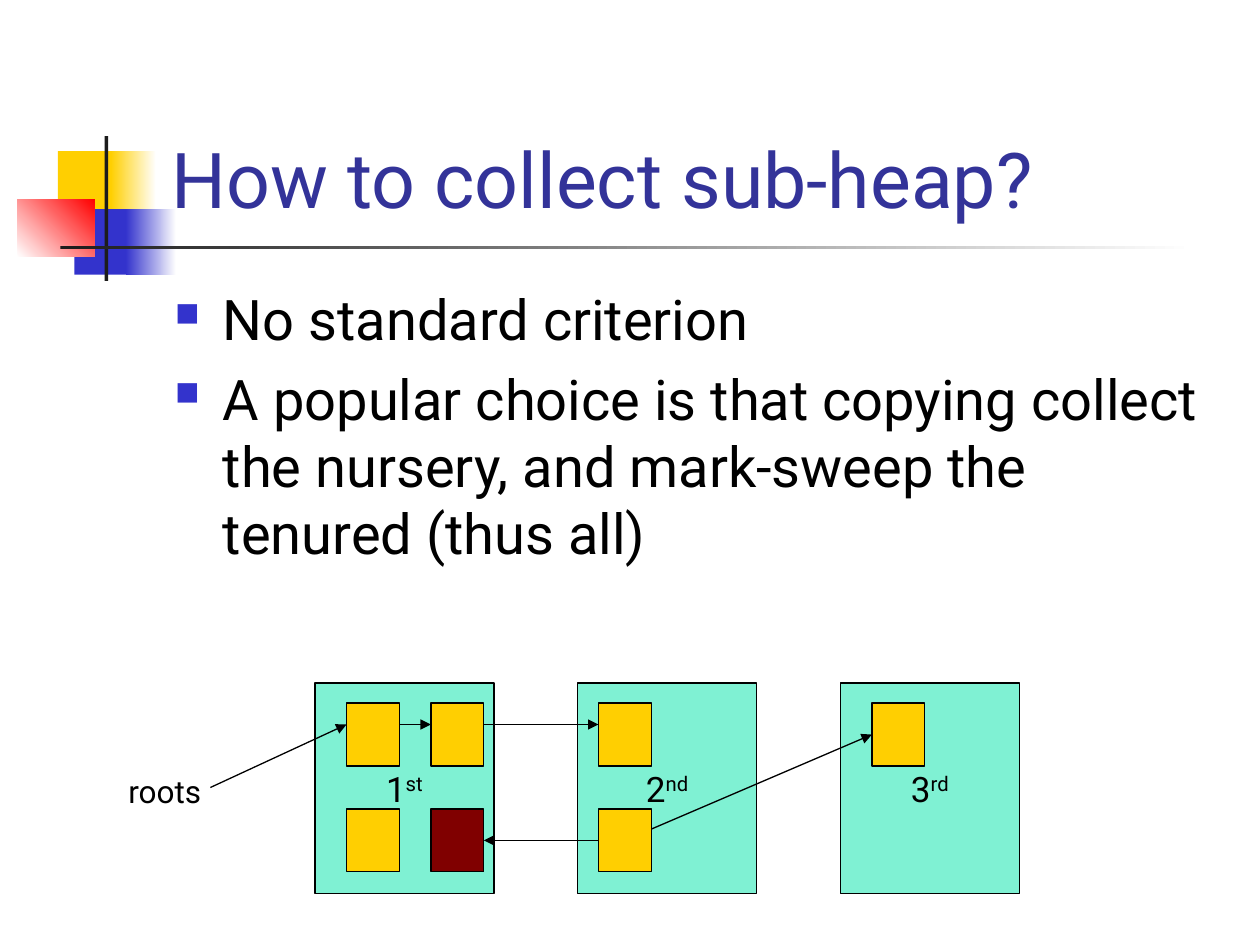
import pptx
import pptx.dml.color
import pptx.enum.shapes
import pptx.enum.text
import pptx.oxml
import pptx.oxml.ns
import pptx.util
from lxml import etree
from pptx.util import Inches

FONT = "Roboto"
YELLOW, BLUE, DARK, BLACK = "FFCF01", "3333CC", "1C1C1C", "000000"


def colour(hex_code):
    return pptx.dml.color.RGBColor.from_string(hex_code)


def add_rect(left, top, width, height, fill, line=None, angle=0):
    """Add a rectangle; a pair of colours as fill makes a linear gradient."""
    rect = slide.shapes.add_shape(
        pptx.enum.shapes.MSO_SHAPE.RECTANGLE,
        Inches(left), Inches(top), Inches(width), Inches(height))
    rect.shadow.inherit = False
    if isinstance(fill, tuple):
        rect.fill.gradient()
        rect.fill.gradient_angle = angle
        for stop, stop_colour in zip(rect.fill.gradient_stops, fill):
            stop.color.rgb = colour(stop_colour)
    else:
        rect.fill.solid()
        rect.fill.fore_color.rgb = colour(fill)
    if line:
        rect.line.color.rgb = colour(line)
        rect.line.width = pptx.util.Pt(0.75)
    else:
        rect.line.fill.background()
    return rect


prs = pptx.Presentation()
prs.slide_width, prs.slide_height = Inches(10), Inches(7.5)
slide = prs.slides.add_slide(prs.slide_layouts[5])

# Corner ornament and rule under the title
for left, top, width, height, fill, angle in [
    (0.46, 1.2, 0.48, 0.52, YELLOW, 0),
    (0.88, 1.2, 0.36, 0.52, (YELLOW, "FFFFFF"), 0),
    (0.59, 1.66, 0.46, 0.52, BLUE, 0),
    (1, 1.66, 0.4, 0.52, (BLUE, "FFFFFF"), 0),
    (0.14, 1.58, 0.61, 0.46, ("FFFFFF", "FF0000"), 45),
    (0.83, 1.08, 0.03, 1.15, DARK, 0),
    (0.48, 1.95, 9, 0.03, (DARK, "FFFFFF"), 0),
]:
    add_rect(left, top, width, height, fill, angle=angle)

title = slide.shapes.title
title.left, title.top = Inches(1.26), Inches(0.23)
title.width, title.height = Inches(8.52), Inches(1.6)
title.text_frame.text = "How to collect sub-heap?"
title.text_frame.auto_size = pptx.enum.text.MSO_AUTO_SIZE.NONE
title.text_frame.vertical_anchor = pptx.enum.text.MSO_ANCHOR.BOTTOM
heading = title.text_frame.paragraphs[0]
heading.alignment = pptx.enum.text.PP_ALIGN.LEFT
heading.runs[0].font.name = FONT
heading.runs[0].font.size = pptx.util.Pt(44)
heading.runs[0].font.color.rgb = colour("333399")

points = slide.shapes.add_textbox(
    Inches(1.29), Inches(2.21), Inches(8.5), Inches(4.5)).text_frame
points.word_wrap = True
points.text = (
    "No standard criterion\n"
    "A popular choice is that copying collect the nursery, "
    "and mark-sweep the tenured (thus all)")
for index, point in enumerate(points.paragraphs):
    properties = point._p.get_or_add_pPr()
    properties.set("marL", str(Inches(0.38)))
    properties.set("indent", str(-Inches(0.38)))
    for bullet_xml in (f'<a:buClr {{}}><a:srgbClr val="{BLUE}"/></a:buClr>',
                       '<a:buSzPct {} val="60000"/>',
                       '<a:buChar {} char="■"/>'):
        properties.append(pptx.oxml.parse_xml(
            bullet_xml.format(pptx.oxml.ns.nsdecls("a"))))
    if index:
        point.space_before = pptx.util.Pt(7)
    point.runs[0].font.name = FONT
    point.runs[0].font.size = pptx.util.Pt(32)
    point.runs[0].font.color.rgb = colour(BLACK)

# Three generations of the heap
for index, suffix in enumerate(["st", "nd", "rd"]):
    generation = add_rect(2.5 + index * 2.085, 5.42, 1.42, 1.67, "00E4A8", BLACK)
    fill_colour = generation.fill._xPr.find(".//" + pptx.oxml.ns.qn("a:srgbClr"))
    etree.SubElement(fill_colour, pptx.oxml.ns.qn("a:alpha"), val="50000")
    generation.text_frame.word_wrap = False
    generation.text_frame.vertical_anchor = pptx.enum.text.MSO_ANCHOR.MIDDLE
    ordinal = generation.text_frame.paragraphs[0]
    ordinal.alignment = pptx.enum.text.PP_ALIGN.CENTER
    for part in (str(index + 1), suffix):
        run = ordinal.add_run()
        run.text = part
        run.font.name = FONT
        run.font.size = pptx.util.Pt(20)
        run.font.color.rgb = colour(BLACK)
    run._r.get_or_add_rPr().set("baseline", "30000")

# Heap objects, keyed by column and row
columns, rows = [2.75, 3.42, 4.75, 6.92], [5.58, 6.42]
objects = {}
for column, row in [(0, 0), (1, 0), (2, 0), (3, 0), (0, 1), (1, 1), (2, 1)]:
    fill = "800000" if (column, row) == (1, 1) else YELLOW
    objects[column, row] = add_rect(columns[column], rows[row], 0.42, 0.5, fill, BLACK)

# References: start, end, object joined at the start, object joined at the end
LEFT_SIDE, RIGHT_SIDE = 1, 3
for start, end, source, target in [
    ((1.67, 6.25), (2.75, 5.75), None, None),
    ((3.17, 5.75), (3.42, 5.75), None, None),
    ((3.84, 5.75), (4.75, 5.75), None, None),
    ((5.17, 6.58), (6.92, 5.83), None, ((3, 0), LEFT_SIDE)),
    ((4.75, 6.67), (3.84, 6.67), ((2, 1), LEFT_SIDE), ((1, 1), RIGHT_SIDE)),
]:
    reference = slide.shapes.add_connector(
        pptx.enum.shapes.MSO_CONNECTOR.STRAIGHT,
        *[Inches(value) for value in start + end])
    if source:
        reference.begin_connect(objects[source[0]], source[1])
    if target:
        reference.end_connect(objects[target[0]], target[1])
    reference.line.color.rgb = colour(BLACK)
    reference.line.width = pptx.util.Pt(0.75)
    etree.SubElement(reference.line._get_or_add_ln(),
                     pptx.oxml.ns.qn("a:tailEnd"), type="triangle")
    etree.SubElement(reference._element.spPr, pptx.oxml.ns.qn("a:effectLst"))

roots = slide.shapes.add_textbox(
    Inches(0.92), Inches(6.08), Inches(1.25), Inches(0.4)).text_frame
roots.word_wrap = True
roots.text = "roots"
roots_font = roots.paragraphs[0].runs[0].font
roots_font.name = FONT
roots_font.size = pptx.util.Pt(18)
roots_font.color.rgb = colour(BLACK)

prs.save("out.pptx")
